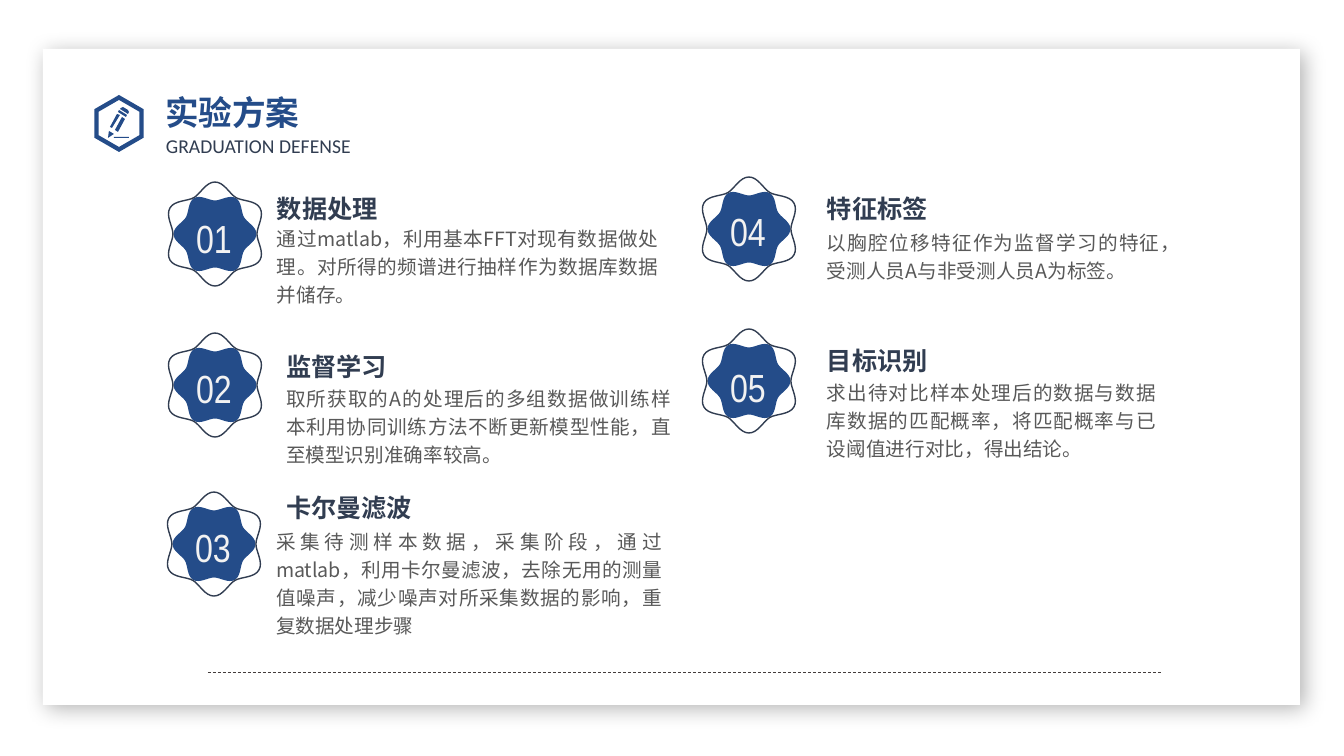
"""Build the experiment plan slide with five numbered steps."""
from dataclasses import dataclass
from math import cos, pi, sin
from typing import NamedTuple, Optional

from lxml import etree
from pptx import Presentation
from pptx.dml.color import RGBColor
from pptx.enum.dml import MSO_LINE
from pptx.enum.shapes import MSO_CONNECTOR, MSO_SHAPE
from pptx.enum.text import MSO_ANCHOR, MSO_AUTO_SIZE, PP_ALIGN
from pptx.oxml import parse_xml
from pptx.oxml.ns import nsdecls, qn
from pptx.shapes.autoshape import Shape
from pptx.shapes.shapetree import GroupShapes, SlideShapes
from pptx.slide import Slide
from pptx.text.text import TextFrame
from pptx.util import Emu, Length, Pt

LEFT, CENTER, JUSTIFY = PP_ALIGN.LEFT, PP_ALIGN.CENTER, PP_ALIGN.JUSTIFY
MIDDLE = MSO_ANCHOR.MIDDLE
NO_FIT, GROW = MSO_AUTO_SIZE.NONE, MSO_AUTO_SIZE.SHAPE_TO_FIT_TEXT
RECTANGLE, STRAIGHT, DASH = MSO_SHAPE.RECTANGLE, MSO_CONNECTOR.STRAIGHT, MSO_LINE.DASH
TITLE_ONLY = 5
EMU_PER_PX = 914400 / 100.8


class TextStyle(NamedTuple):
    font: str
    size: int
    color: str
    bold: bool = False
    align: PP_ALIGN = LEFT
    spacing: float | Length = 1.2


@dataclass(frozen=True)
class Theme:
    white: str = "FFFFFF"
    blue: str = "244C89"
    navy: str = "313D51"
    rule: str = "433D3C"
    title: TextStyle = TextStyle("Roboto", 24, "244C89", True)
    subtitle: TextStyle = TextStyle("Calibri", 14, "313D51", spacing=Pt(23))
    number: TextStyle = TextStyle("Arial Narrow", 28, "F2F2F2", align=CENTER)
    heading: TextStyle = TextStyle("Noto Sans CJK SC", 18, "313D51", True)
    body: TextStyle = TextStyle("Noto Sans CJK SC", 14, "595959", align=JUSTIFY)


class Box(NamedTuple):
    left: int
    top: int
    width: int
    height: int


class Point(NamedTuple):
    x: float
    y: float


@dataclass(frozen=True)
class Step:
    center: Point
    number_top: int
    heading: str
    heading_box: Box
    body: str
    body_box: Box


THEME = Theme()
PENCIL = [
    [(114, 137), (129, 137), (129, 138), (114, 138)],
    [(115, 130), (122, 117), (125, 119), (118, 132)],
    [(110, 127), (117, 114), (120, 115), (112, 128)],
    [(108, 138), (109, 131), (114, 134)],
    [(119, 110), (118, 112), (126, 117), (127, 115)],
    [(121, 108), (123, 107), (128, 110), (129, 112), (128, 114), (120, 109)],
]
STEPS = [
    Step(Point(215, 234), 205, "数据处理", Box(277, 187, 286, 33),
         "通过matlab，利用基本FFT对现有数据做处理。对所得的频谱进行抽样作为数据库数据并储存。",
         Box(277, 222, 381, 86)),
    Step(Point(215, 385), 355, "监督学习", Box(286, 345, 181, 33),
         "取所获取的A的处理后的多组数据做训练样本利用协同训练方法不断更新模型性能，直至模型识别准确率较高。",
         Box(286, 382, 385, 86)),
    Step(Point(214, 544), 514, "卡尔曼滤波", Box(286, 486, 181, 33),
         "采集待测样本数据，采集阶段，通过matlab，利用卡尔曼滤波，去除无用的测量值噪声，减少噪声对所采集数据的影响，重复数据处理步骤",
         Box(276, 525, 386, 114)),
    Step(Point(749, 229), 198, "特征标签", Box(827, 187, 181, 33),
         "以胸腔位移特征作为监督学习的特征，受测人员A与非受测人员A为标签。",
         Box(827, 226, 334, 57)),
    Step(Point(749, 381), 354, "目标识别", Box(827, 339, 181, 33),
         "求出待对比样本处理后的数据与数据库数据的匹配概率，将匹配概率与已设阈值进行对比，得出结论。",
         Box(827, 376, 329, 86)),
]


def px(length: float) -> Emu:
    return Emu(round(length * EMU_PER_PX))


def scaled(values: tuple[float, ...]) -> list[Emu]:
    return [px(value) for value in values]


def write(frame: TextFrame, text: str, style: TextStyle) -> None:
    frame.word_wrap = True
    paragraph = frame.paragraphs[0]
    paragraph.text = text
    paragraph.alignment = style.align
    paragraph.line_spacing = style.spacing
    font = paragraph.font
    font.name, font.size, font.bold = style.font, Pt(style.size), style.bold
    font.color.rgb = RGBColor.from_string(style.color)
    latin = next(frame._txBody.iter(qn("a:latin")))
    latin.addnext(etree.Element(qn("a:ea"), typeface=style.font))


def add_text(shapes: SlideShapes | GroupShapes, box: Box, text: str, style: TextStyle) -> TextFrame:
    frame = shapes.add_textbox(*scaled(box)).text_frame
    frame.margin_left = frame.margin_top = frame.margin_right = frame.margin_bottom = 0
    frame.auto_size = GROW
    write(frame, text, style)
    return frame


def add_outline(shapes: SlideShapes | GroupShapes, contours: list, fill: Optional[str]) -> Shape:
    builder = shapes.build_freeform(*scaled(contours[0][0]), scale=1.0)
    for index, contour in enumerate(contours):
        if index:
            builder.move_to(*scaled(contour[0]))
        builder.add_line_segments([scaled(point) for point in contour[1:]], close=True)
    shape = builder.convert_to_shape()
    shape.shadow.inherit = False
    if fill:
        shape.fill.solid()
        shape.fill.fore_color.rgb = RGBColor.from_string(fill)
        shape.line.fill.background()
    else:
        shape.fill.background()
        shape.line.color.rgb = RGBColor.from_string(THEME.navy)
        shape.line.width = Pt(1)
    return shape


def hexagon(center: Point, radius: float) -> list[Point]:
    angles = [pi / 2 + index * pi / 3 for index in range(6)]
    return [Point(center.x + radius * cos(angle), center.y + radius * sin(angle)) for angle in angles]


def flower(center: Point, even_radius: float, odd_radius: float) -> list[Point]:
    points = []
    for index in range(13):
        angle = index * pi / 6
        radius = odd_radius if index % 2 else even_radius
        for handle in (-pi / 18, 0, pi / 18):
            points.append(Point(center.x + radius * (cos(angle) - handle * sin(angle)),
                                center.y + radius * (sin(angle) + handle * cos(angle))))
    return points[1:-1]


def add_flower(shapes: GroupShapes, points: list[Point], fill: Optional[str]) -> None:
    shape = add_outline(shapes, [points], fill)
    lines = list(shape.element.iter(qn("a:lnTo")))
    for first in range(0, len(lines), 3):
        curve = etree.Element(qn("a:cubicBezTo"))
        lines[first].addprevious(curve)
        for line in lines[first:first + 3]:
            curve.append(line[0])
            line.getparent().remove(line)


def add_step(slide: Slide, number: int, step: Step) -> None:
    badge = slide.shapes.add_group_shape().shapes
    add_flower(badge, flower(step.center, 41.5, 33.5), THEME.blue)
    number_box = Box(int(step.center.x) - 26, step.number_top, 50, 51)
    add_text(badge, number_box, f"{number:02d}", THEME.number)
    add_flower(badge, flower(step.center, 42, 52), None)
    add_text(slide.shapes, step.body_box, step.body, THEME.body)
    add_text(slide.shapes, step.heading_box, step.heading, THEME.heading)


def add_panel(slide: Slide) -> None:
    panel = slide.shapes.add_shape(RECTANGLE, *scaled(Box(43, 49, 1257, 656)))
    panel.fill.solid()
    panel.fill.fore_color.rgb = RGBColor.from_string(THEME.white)
    panel.line.fill.background()
    panel.element.spPr.append(parse_xml(
        f'<a:effectLst {nsdecls("a")}><a:outerShdw blurRad="{Pt(15)}" dist="{Pt(5)}" dir="2700000">'
        '<a:srgbClr val="000000"><a:alpha val="30000"/></a:srgbClr></a:outerShdw></a:effectLst>'))


def add_header(slide: Slide) -> None:
    center = Point(119, 123.5)
    add_outline(slide.shapes, [hexagon(center, 28.5), hexagon(center, 23.5), *PENCIL], THEME.blue)
    subtitle = add_text(slide.shapes, Box(166, 125, 219, 34), "GRADUATION DEFENSE", THEME.subtitle)
    subtitle.margin_bottom = px(5)
    title = slide.shapes.title
    title.left, title.top, title.width, title.height = scaled(Box(155, 83, 400, 50))
    title.text_frame.auto_size = NO_FIT
    title.text_frame.vertical_anchor = MIDDLE
    write(title.text_frame, "实验方案", THEME.title)
    title.element.getparent().append(title.element)


def add_rule(slide: Slide) -> None:
    rule = slide.shapes.add_connector(STRAIGHT, *scaled((208, 672, 1162, 672)))
    rule.line.color.rgb = RGBColor.from_string(THEME.rule)
    rule.line.width = Pt(0.5)
    rule.line.dash_style = DASH
    etree.SubElement(rule.element.spPr, qn("a:effectLst"))


def main() -> None:
    presentation = Presentation()
    presentation.slide_width, presentation.slide_height = scaled((1344, 756))
    slide = presentation.slides.add_slide(presentation.slide_layouts[TITLE_ONLY])
    add_panel(slide)
    add_header(slide)
    for number, step in enumerate(STEPS, 1):
        add_step(slide, number, step)
    add_rule(slide)
    presentation.save("out.pptx")


if __name__ == "__main__":
    main()
